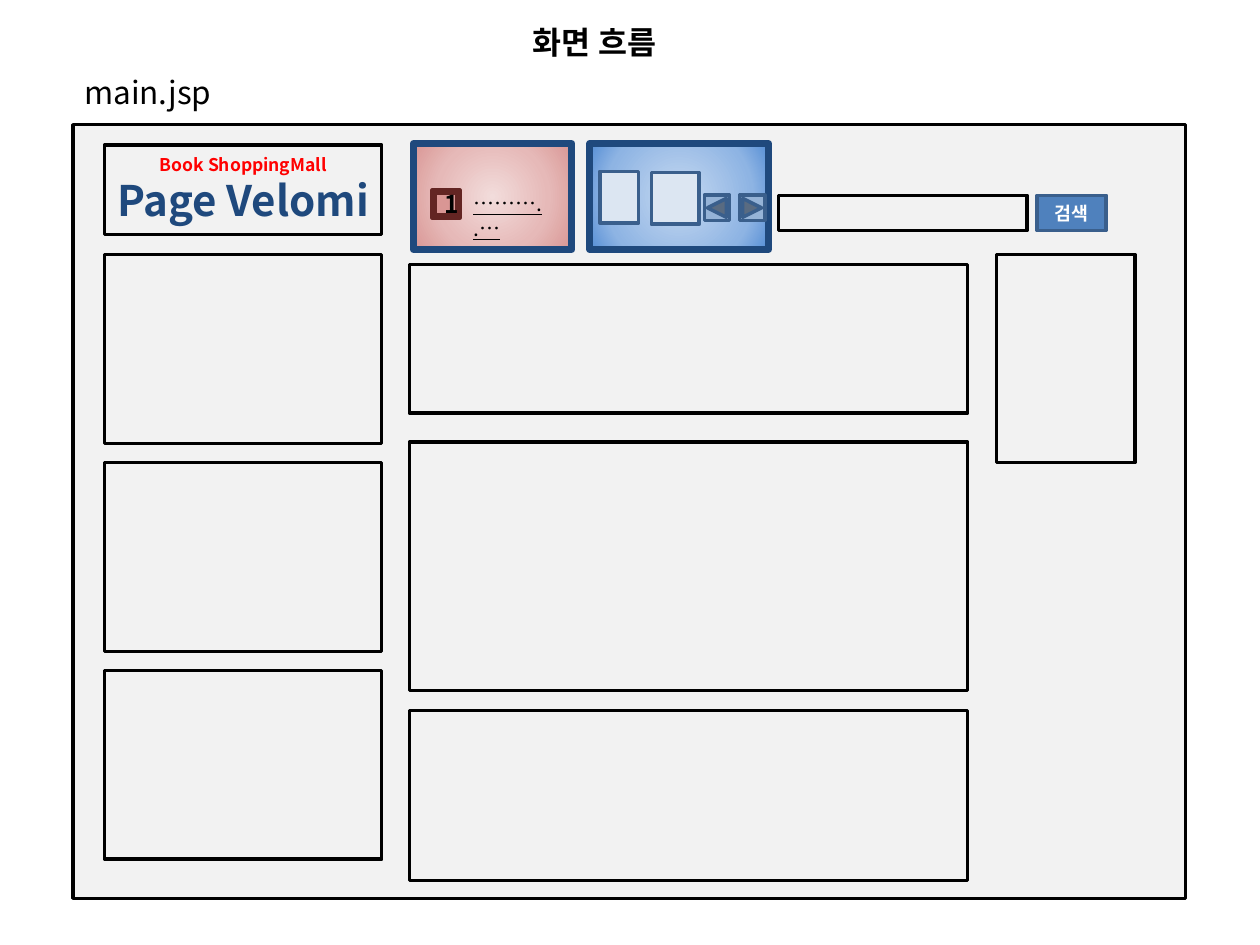
"""Build the screen-flow slide with the main.jsp page wireframe."""
from dataclasses import dataclass
from typing import Optional

from lxml import etree
from pptx import Presentation
from pptx.dml.color import RGBColor
from pptx.enum.shapes import MSO_SHAPE
from pptx.enum.text import MSO_ANCHOR, MSO_AUTO_SIZE, PP_ALIGN
from pptx.oxml.ns import qn
from pptx.util import Inches, Pt

RECT = MSO_SHAPE.RECTANGLE
BEVEL = MSO_SHAPE.BEVEL
PREVIOUS = MSO_SHAPE.ACTION_BUTTON_BACK_OR_PREVIOUS
NEXT = MSO_SHAPE.ACTION_BUTTON_FORWARD_OR_NEXT
LEFT, CENTER = PP_ALIGN.LEFT, PP_ALIGN.CENTER
TOP, MIDDLE = MSO_ANCHOR.TOP, MSO_ANCHOR.MIDDLE
GROW = MSO_AUTO_SIZE.SHAPE_TO_FIT_TEXT
TITLE_ONLY = 5


@dataclass(frozen=True)
class Theme:
    font: str = "Noto Sans CJK KR"
    ink: str = "000000"
    paper: str = "F2F2F2"
    white: str = "FFFFFF"
    red: str = "FF0000"
    navy: str = "1F497D"
    button: str = "4F81BD"
    button_edge: str = "3A5F8C"
    arrow: str = "95B3D7"
    thumbnail: str = "DCE6F2"
    badge: str = "D99694"
    badge_edge: str = "632523"
    slider_glow: tuple = ((0, "C6D9F1"), (71, "8EB4E3"), (100, "558ED5"))
    ranking_glow: tuple = ((0, "F2DCDB"), (59, "E6B9B8"), (100, "D99694"))
    heading: float = 18
    logo: float = 24
    rank: float = 14
    dots: float = 12
    search: float = 10.5
    tagline: float = 10


THEME = Theme()


@dataclass(frozen=True)
class Panel:
    left: float
    top: float
    width: float
    height: float
    fill: Optional[str] = THEME.paper
    edge: str = THEME.ink
    weight: float = 2
    preset: int = RECT
    glow: tuple = ()


def add_glow(shape, stops: tuple) -> None:
    """Fill a shape with a gradient that spreads from its centre."""
    gradient = etree.Element(qn("a:gradFill"), rotWithShape="1")
    stop_list = etree.SubElement(gradient, qn("a:gsLst"))
    for percent, color in stops:
        stop = etree.SubElement(stop_list, qn("a:gs"), pos=str(percent * 1000))
        etree.SubElement(stop, qn("a:srgbClr"), val=color)
    spread = etree.SubElement(gradient, qn("a:path"), path="circle")
    etree.SubElement(spread, qn("a:fillToRect"),
                     {side: "50000" for side in "ltrb"})
    shape._element.spPr.find(qn("a:prstGeom")).addnext(gradient)


def draw_panel(shapes, panel: Panel):
    """Draw one wireframe panel and return its shape."""
    shape = shapes.add_shape(panel.preset, Inches(panel.left), Inches(panel.top),
                             Inches(panel.width), Inches(panel.height))
    shape.shadow.inherit = False
    if panel.glow:
        add_glow(shape, panel.glow)
    elif panel.fill:
        shape.fill.solid()
        shape.fill.fore_color.rgb = RGBColor.from_string(panel.fill)
    else:
        shape.fill.background()
    shape.line.color.rgb = RGBColor.from_string(panel.edge)
    shape.line.width = Pt(panel.weight)
    return shape


def write(paragraph, text: str, *, size: float, color: str = THEME.ink,
          bold: bool = False, underline: bool = False, align=CENTER) -> None:
    """Write one formatted run into a paragraph."""
    paragraph.alignment = align
    run = paragraph.add_run()
    run.text = text
    run.font.name = THEME.font
    run.font.size = Pt(size)
    run.font.bold = bold
    if underline:
        run.font.underline = True
    run.font.color.rgb = RGBColor.from_string(color)
    latin = run.font._element.find(qn("a:latin"))
    latin.addnext(etree.Element(qn("a:ea"), typeface=THEME.font))


def open_frame(shape, anchor):
    """Return the first paragraph of a wrapping text frame."""
    frame = shape.text_frame
    frame.word_wrap = True
    frame.vertical_anchor = anchor
    if anchor == TOP:
        frame.auto_size = GROW
    return frame.paragraphs[0]


def add_label(shapes, left: float, top: float, width: float, height: float,
              text: str, **style) -> None:
    """Add a left-aligned text box."""
    box = shapes.add_textbox(Inches(left), Inches(top), Inches(width), Inches(height))
    write(open_frame(box, TOP), text, align=LEFT, **style)


def draw_header(shapes) -> None:
    """Draw the logo, ranking, slider and search areas."""
    logo = draw_panel(shapes, Panel(0.83, 1.15, 2.2, 0.71))
    write(open_frame(logo, MIDDLE), "Book ShoppingMall",
          size=THEME.tagline, color=THEME.red, bold=True)
    write(logo.text_frame.add_paragraph(), "Page Velomi",
          size=THEME.logo, color=THEME.navy, bold=True)

    edge = THEME.button_edge
    slider = shapes.add_group_shape().shapes
    for part in (
        Panel(4.68, 1.14, 1.42, 0.84, None, THEME.navy, 4, glow=THEME.slider_glow),
        Panel(4.76, 1.36, 0.31, 0.41, THEME.thumbnail, edge),
        Panel(5.17, 1.37, 0.38, 0.41, THEME.thumbnail, edge),
        Panel(5.59, 1.55, 0.2, 0.2, THEME.arrow, edge, preset=PREVIOUS),
        Panel(5.87, 1.55, 0.2, 0.2, THEME.arrow, edge, preset=NEXT),
    ):
        draw_panel(slider, part)

    draw_panel(shapes, Panel(3.28, 1.14, 1.26, 0.84, None, THEME.navy, 4,
                             glow=THEME.ranking_glow))
    badge = draw_panel(shapes, Panel(3.43, 1.51, 0.22, 0.22, THEME.badge,
                                     THEME.badge_edge, preset=BEVEL))
    write(open_frame(badge, MIDDLE), "1", size=THEME.rank, bold=True)
    add_label(shapes, 3.66, 1.46, 0.77, 0.3, "………..…",
              size=THEME.dots, underline=True)

    draw_panel(shapes, Panel(6.18, 1.55, 1.97, 0.28, None))
    search = draw_panel(shapes, Panel(8.23, 1.55, 0.55, 0.28, THEME.button, edge))
    write(open_frame(search, MIDDLE), "검색",
          size=THEME.search, color=THEME.white, bold=True)


def main() -> None:
    """Build and save the slide."""
    deck = Presentation()
    deck.slide_width, deck.slide_height = Inches(10), Inches(7.5)
    slide = deck.slides.add_slide(deck.slide_layouts[TITLE_ONLY])
    shapes = slide.shapes

    title = shapes.title
    title.left, title.top = Inches(2.17), Inches(0.13)
    title.width, title.height = Inches(5.04), Inches(0.4)
    write(open_frame(title, TOP), " 화면 흐름", size=THEME.heading, bold=True)

    page = Panel(0.58, 0.99, 8.83, 6.14)
    side_menus = [Panel(0.83, 2.02 + 1.65 * row, 2.2, 1.5) for row in range(3)]
    contents = [Panel(3.25, top, 4.43, height)
                for top, height in ((2.1, 1.18), (3.51, 1.97), (5.64, 1.35))]
    quick_menu = Panel(7.91, 2.02, 1.1, 1.65)
    for panel in (page, *side_menus, *contents, quick_menu):
        draw_panel(shapes, panel)

    add_label(shapes, 0.57, 0.53, 1.83, 0.4, "main.jsp", size=THEME.heading)
    draw_header(shapes)
    deck.save("out.pptx")


if __name__ == "__main__":
    main()
